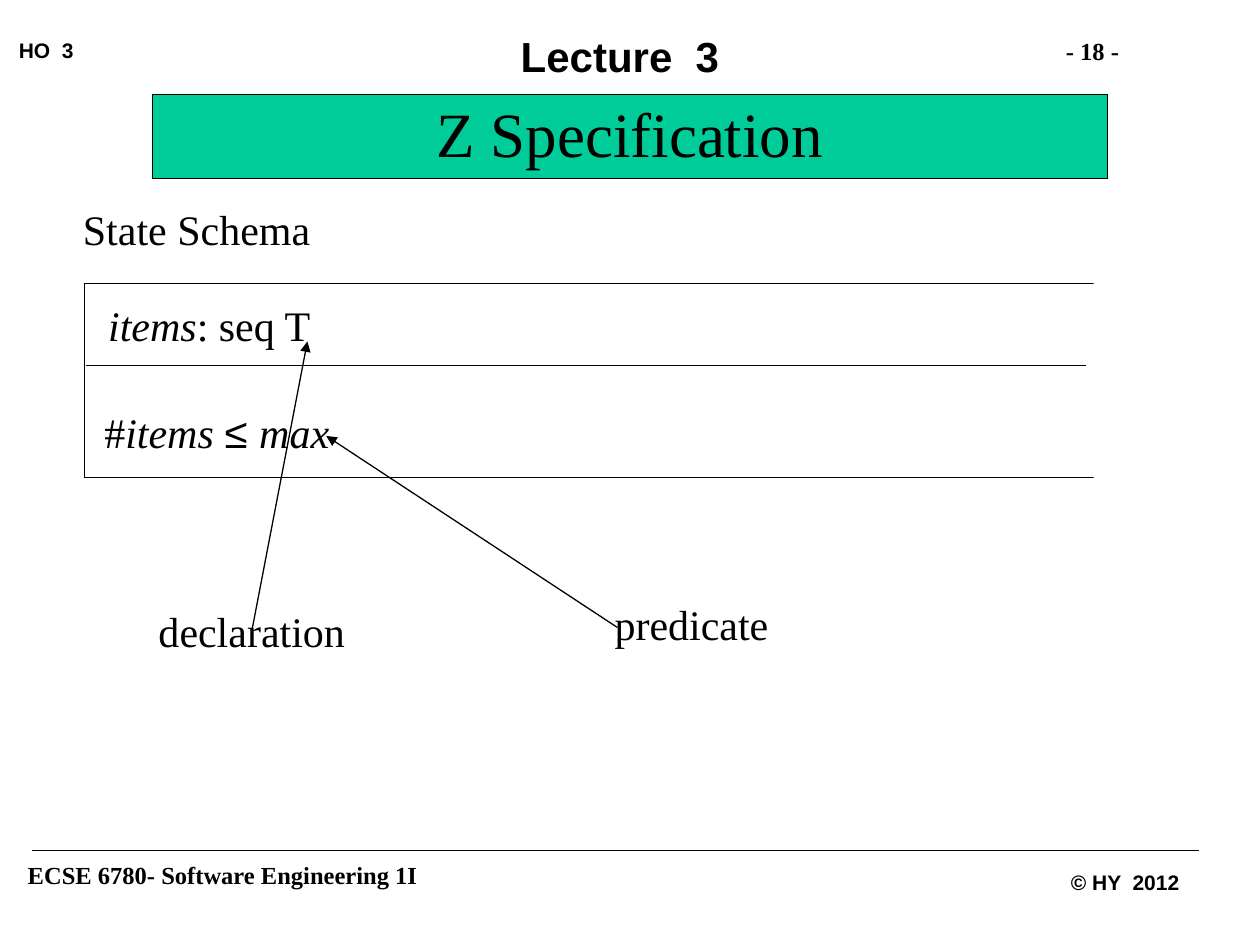
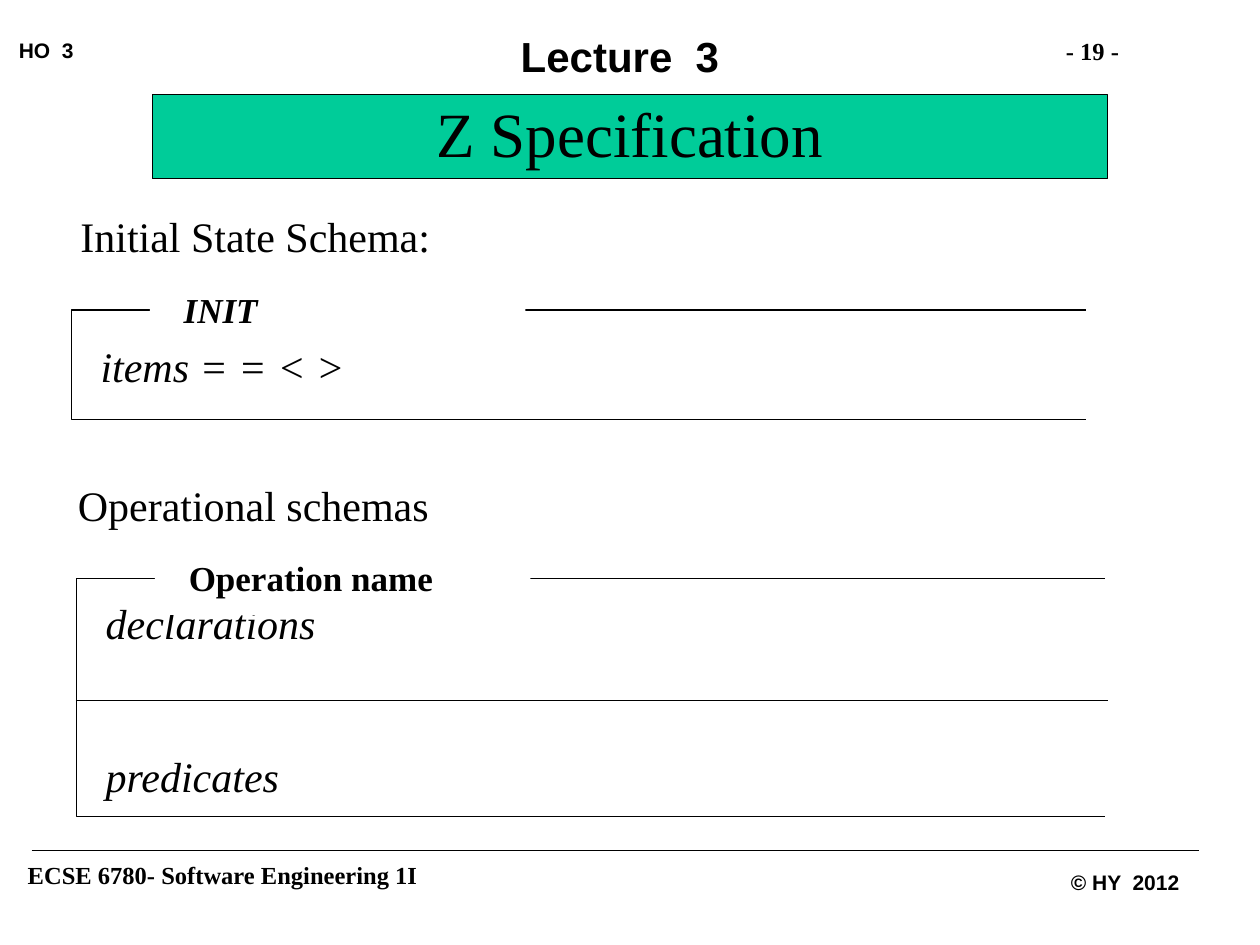
from dataclasses import dataclass
from typing import NamedTuple

from lxml.etree import SubElement as add_node
from pptx import Presentation as Deck
from pptx.dml.color import RGBColor as Rgb
from pptx.enum.shapes import MSO_CONNECTOR as Link, MSO_SHAPE as Form
from pptx.enum.text import MSO_AUTO_SIZE as Fit, PP_ALIGN as Align
from pptx.oxml.ns import qn
from pptx.slide import Slide
from pptx.util import Inches, Pt

WIDE, HIGH = Inches(10), Inches(7.5)
COLS, ROWS = 100, 75


@dataclass(frozen=True)
class Theme:
    ink: Rgb = Rgb(0, 0, 0)
    paper: Rgb = Rgb(255, 255, 255)
    band: Rgb = Rgb(0, 204, 153)
    serif: str = "Times New Roman"
    sans: str = "Arial"
    title: float = 36
    body: float = 24
    label: float = 20
    foot: float = 14
    small: float = 12
    thin: float = 0.75
    rule: float = 1


class Spot(NamedTuple):
    x: float
    y: float
    w: float
    h: float


class Run(NamedTuple):
    text: str
    slant: bool = False
    face: str = ""


class Mark(NamedTuple):
    text: str
    spot: Spot
    size: float
    face: str
    align: Align = Align.LEFT


class Note(NamedTuple):
    text: str | tuple[Run, ...]
    spot: Spot
    slant: bool = False
    gap: float = 0


class Arrow(NamedTuple):
    x1: float
    y1: float
    x2: float
    y2: float


class Tag(NamedTuple):
    text: str
    x: float
    y: float
    slant: bool = False


class Schema(NamedTuple):
    frame: Spot
    mask: Spot
    notes: tuple[Note, ...]
    rule: Arrow | None = None
    tag: Tag | None = None


class Page(NamedTuple):
    heads: tuple[Note, ...]
    schemas: tuple[Schema, ...]
    arrows: tuple[Arrow, ...] = ()


LOOK = Theme()

MARKS = (
    Mark("ECSE 6780- Software Engineering 1I", Spot(1.7, 68, 35.8, 2.8), LOOK.foot, LOOK.serif),
    Mark("- {} -", Spot(84.1, 2.6, 13.4, 3), LOOK.foot, LOOK.serif),
    Mark("HO  3", Spot(1, 2.7, 5.4, 2.4), LOOK.small, LOOK.sans),
    Mark("© HY  2012", Spot(84.5, 68.8, 9.7, 2.4), LOOK.small, LOOK.sans),
    Mark("Lecture  3", Spot(40.8, 2.2, 16.8, 4.4), LOOK.body, LOOK.sans, Align.CENTER),
)

PAGES = (
    Page(
        heads=(
            Note("State Schema", Spot(5.6, 15.7, 56.4, 5)),
            Note("declaration", Spot(11.6, 47.6, 33.7, 5)),
            Note("predicate", Spot(47.8, 47, 33.7, 5)),
        ),
        schemas=(
            Schema(
                Spot(6.7, 22.5, 83.5, 15.4),
                Spot(86.8, 20.5, 9.2, 20.5),
                (
                    Note((Run("items", True), Run(": seq T")), Spot(7.6, 23.3, 56.8, 5)),
                    Note(
                        (Run("#"), Run("items ", True), Run("≤ ", face=LOOK.sans), Run("max", True)),
                        Spot(7.3, 31.8, 72.1, 5),
                    ),
                ),
                rule=Arrow(6.8, 29, 86.2, 29),
            ),
        ),
        arrows=(Arrow(20, 50, 24.4, 27.1), Arrow(49, 49.8, 25.9, 34.6)),
    ),
    Page(
        heads=(
            Note("Initial State Schema:", Spot(5.4, 16.2, 57.3, 5)),
            Note("Operational schemas", Spot(5.2, 37.6, 71.4, 5)),
        ),
        schemas=(
            Schema(
                Spot(5.7, 24.6, 83.5, 8.7),
                Spot(86.2, 24.1, 9.2, 21.4),
                (Note("items = = < >", Spot(7, 26.5, 56.8, 5), slant=True),),
                tag=Tag("INIT", 11.9, 21.9, slant=True),
            ),
            Schema(
                Spot(6.1, 45.9, 83.5, 18.9),
                Spot(87.7, 39.4, 9.2, 25.9),
                (Note("declarations\npredicates", Spot(7.4, 46.9, 56.8, 17.2), slant=True, gap=59),),
                rule=Arrow(6, 55.6, 87.9, 55.6),
                tag=Tag("Operation name", 12.3, 43.2),
            ),
        ),
    ),
)


def col(n: float) -> int:
    return round(WIDE * n / COLS)


def row(n: float) -> int:
    return round(HIGH * n / ROWS)


def place(spot: Spot) -> tuple[int, int, int, int]:
    return col(spot.x), row(spot.y), col(spot.w), row(spot.h)


def write(slide: Slide, spot: Spot, text: str | tuple[Run, ...], *,
          size: float = LOOK.body, face: str = LOOK.serif, bold: bool = False,
          slant: bool = False, align: Align = Align.LEFT, gap: float = 0,
          pad: float = 0.1, wrap: bool = True) -> None:
    frame = slide.shapes.add_textbox(*place(spot)).text_frame
    frame.word_wrap = wrap
    frame.auto_size = Fit.SHAPE_TO_FIT_TEXT
    frame.margin_left = frame.margin_right = Inches(pad)
    frame.margin_top = frame.margin_bottom = Inches(pad / 2)
    lines = [(Run(line, slant),) for line in text.split("\n")] if isinstance(text, str) else [text]
    for i, line in enumerate(lines):
        para = frame.add_paragraph() if i else frame.paragraphs[0]
        para.alignment = align
        if i:
            para.space_before = Pt(gap)
        for part in line:
            run = para.add_run()
            run.text = part.text
            font = run.font
            font.name = part.face or face
            font.size = Pt(size)
            font.bold, font.italic = bold, part.slant
            font.color.rgb = LOOK.ink


def draw_box(slide: Slide, spot: Spot, fill: Rgb | None = None, edge: bool = True) -> None:
    box = slide.shapes.add_shape(Form.RECTANGLE, *place(spot))
    box.shadow.inherit = False
    if fill is None:
        box.fill.background()
    else:
        box.fill.solid()
        box.fill.fore_color.rgb = fill
    if edge:
        box.line.color.rgb = LOOK.ink
        box.line.width = Pt(LOOK.thin)
    else:
        box.line.fill.background()


def draw_line(slide: Slide, path: Arrow, width: float = LOOK.thin, tip: bool = False) -> None:
    line = slide.shapes.add_connector(
        Link.STRAIGHT, col(path.x1), row(path.y1), col(path.x2), row(path.y2))
    line.line.color.rgb = LOOK.ink
    line.line.width = Pt(width)
    props = line.element.spPr
    if tip:
        add_node(props.find(qn("a:ln")), qn("a:tailEnd"), type="triangle")
    add_node(props, qn("a:effectLst"))


def draw_base(slide: Slide, number: int) -> None:
    for mark in MARKS:
        write(slide, mark.spot, mark.text.format(number), size=mark.size, face=mark.face,
              bold=True, align=mark.align, pad=0.05, wrap=False)
    draw_line(slide, Arrow(2.5, 67.5, 95.2, 67.5), LOOK.rule)
    draw_box(slide, Spot(12.1, 7.5, 75.8, 6.7), LOOK.band)
    write(slide, Spot(32.1, 7, 35.8, 7), "Z Specification", size=LOOK.title, align=Align.CENTER)


def draw_note(slide: Slide, note: Note) -> None:
    write(slide, note.spot, note.text, slant=note.slant, gap=note.gap)


def draw_schema(slide: Slide, schema: Schema) -> None:
    draw_box(slide, schema.frame)
    draw_box(slide, schema.mask, LOOK.paper, edge=False)
    for note in schema.notes:
        draw_note(slide, note)
    if schema.tag:
        tag = schema.tag
        draw_box(slide, Spot(tag.x, tag.y, 29.8, 5.6), LOOK.paper, edge=False)
        write(slide, Spot(tag.x + 1.7, tag.y + 0.5, 24, 4.4), tag.text,
              size=LOOK.label, bold=True, slant=tag.slant)
    if schema.rule:
        draw_line(slide, schema.rule)


def main() -> None:
    deck = Deck()
    deck.slide_width, deck.slide_height = WIDE, HIGH
    for number, page in enumerate(PAGES, 18):
        slide = deck.slides.add_slide(deck.slide_layouts[6])
        draw_base(slide, number)
        for schema in page.schemas:
            draw_schema(slide, schema)
        for head in page.heads:
            draw_note(slide, head)
        for arrow in page.arrows:
            draw_line(slide, arrow, tip=True)
    deck.save("out.pptx")


if __name__ == "__main__":
    main()
